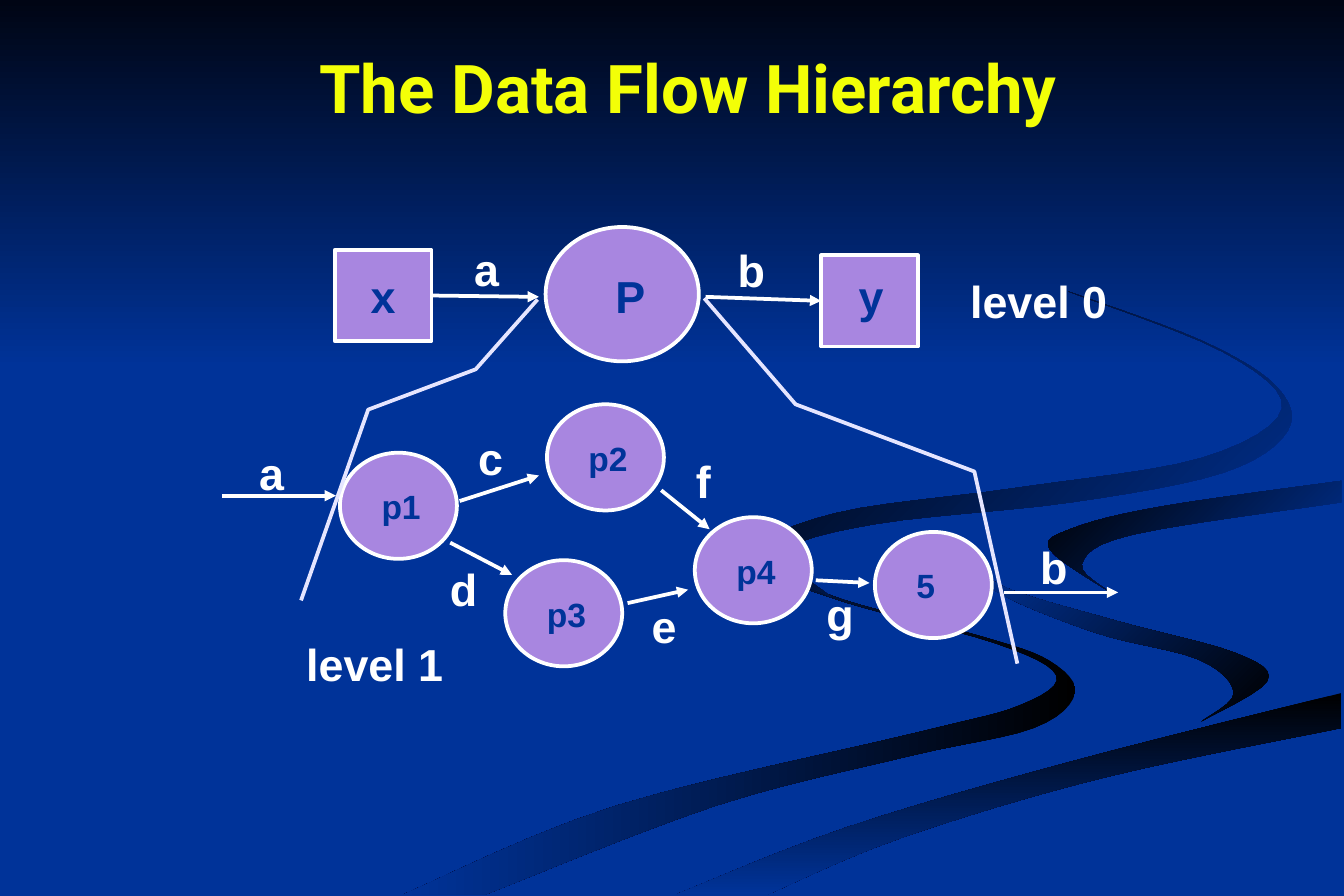
import pptx
import pptx.util
import pptx.dml.color
import pptx.enum.shapes
import pptx.enum.text
import pptx.oxml

HUES = {
    "sky": "003399", "night": "000514", "black": "000000", "gold": "F3FF07",
    "node": "A886E0", "white": "FFFFFF", "pale": "E5E5FF",
}
KINDS = pptx.enum.shapes.MSO_SHAPE
GRID = 2.54


def size(value):
    return pptx.util.Cm(value * GRID)


def tint(name):
    return pptx.dml.color.RGBColor.from_string(HUES[name])


def curve(knots, steps=6):
    ends = [knots[0], *knots, knots[-1]]
    points = []
    for a, b, c, d in zip(ends, ends[1:], ends[2:], ends[3:]):
        for step in range(steps):
            t = step / steps
            points.append(tuple(
                q + t * (r - p + t * (2 * p - 5 * q + 4 * r - s + t * (3 * (q - r) + s - p))) / 2
                for p, q, r, s in zip(a, b, c, d)))
    return points + [knots[-1]]


def write(frame, text, points=24, font="Arial", hue="white", align="LEFT",
          anchor="TOP", wrap=False):
    frame.word_wrap = wrap
    frame.auto_size = pptx.enum.text.MSO_AUTO_SIZE.NONE
    frame.vertical_anchor = getattr(pptx.enum.text.MSO_ANCHOR, anchor)
    line = frame.paragraphs[0]
    line.alignment = getattr(pptx.enum.text.PP_ALIGN, align)
    run = line.add_run()
    run.text = text
    run.font.size = pptx.util.Pt(points)
    run.font.name = font
    run.font.bold = True
    run.font.color.rgb = tint(hue)


class Board:
    def __init__(self, slide):
        self.slide = slide
        self.shapes = slide.shapes
        self.width = pptx.util.Pt(2)

    def ground(self, hue):
        fill = self.slide.background.fill
        fill.solid()
        fill.fore_color.rgb = tint(hue)

    def title(self, text, *area):
        box = self.shapes.title
        box.left, box.top, box.width, box.height = map(size, area)
        write(box.text_frame, text, points=36, font="Roboto", hue="gold",
              align="CENTER", anchor="MIDDLE", wrap=True)
        self.shapes._spTree.append(box._element)

    def fade(self, shape, first, last, angle):
        shape.shadow.inherit = False
        shape.line.fill.background()
        shape.fill.gradient()
        shape.fill.gradient_angle = angle
        for stop, hue in zip(shape.fill.gradient_stops, (first, last)):
            stop.color.rgb = tint(hue)

    def trace(self, points, close):
        spots = [(size(x), size(y)) for x, y in points]
        pen = self.shapes.build_freeform(*spots[0], scale=1.0)
        pen.add_line_segments(spots[1:], close=close)
        shape = pen.convert_to_shape()
        shape.shadow.inherit = False
        return shape

    def ribbon(self, first, last, angle, near, far):
        self.fade(self.trace(curve(near) + curve(far), True), first, last, angle)

    def border(self, points):
        shape = self.trace(points, False)
        shape.fill.background()
        shape.line.color.rgb = tint("pale")
        shape.line.width = self.width

    def band(self, *area):
        shape = self.shapes.add_shape(KINDS.RECTANGLE, *map(size, area))
        self.fade(shape, "night", "sky", 270)

    def node(self, kind, *area):
        shape = self.shapes.add_shape(kind, *map(size, area))
        shape.shadow.inherit = False
        shape.fill.solid()
        shape.fill.fore_color.rgb = tint("node")
        shape.line.color.rgb = tint("white")
        shape.line.width = self.width
        return shape

    def arrow(self, *ends, start=None, end=None):
        line = self.shapes.add_connector(
            pptx.enum.shapes.MSO_CONNECTOR.STRAIGHT, *map(size, ends))
        line.line.color.rgb = tint("white")
        line.line.width = self.width
        if start:
            line.begin_connect(start, 3)
        if end:
            line.end_connect(end, 1)
        space = pptx.oxml.ns.nsdecls("a")
        line.line._get_or_add_ln().append(
            pptx.oxml.parse_xml(f'<a:tailEnd {space} type="triangle"/>'))
        line._element.spPr.append(pptx.oxml.parse_xml(f"<a:effectLst {space}/>"))

    def label(self, text, left, top, width=0.4, height=0.5, **form):
        box = self.shapes.add_textbox(*map(size, (left, top, width, height)))
        write(box.text_frame, text, **form)


RIBBONS = [
    ("black", "sky", 180,
     [(5.75, 4.08), (5.83, 4.24), (6.26, 4.46), (7.31, 4.74), (7.81, 4.92), (8, 5.16),
      (7.69, 5.42), (6.76, 5.63), (5.32, 6), (3.61, 6.66)],
     [(3, 6.66), (4.58, 6), (6.84, 5.45), (7.59, 5.25), (7.86, 5.03), (7.41, 4.79),
      (6.31, 4.49), (5.76, 4.27), (5.75, 4.08)]),
    ("black", "sky", 135,
     [(7.24, 4.12), (7.45, 4.36), (8.3, 4.62), (9.19, 4.86), (9.43, 5.07), (8.94, 5.37)],
     [(8.94, 5.37), (9.18, 5.16), (8.92, 4.91), (8.15, 4.71), (7.39, 4.39), (7.24, 4.12)]),
    ("black", "sky", 270,
     [(5.03, 6.66), (6.3, 6.16), (7.97, 5.67), (9.98, 5.16)],
     [(9.98, 5.42), (8.21, 5.79), (6.7, 6.24), (5.71, 6.66)]),
    ("sky", "black", 135,
     [(9.98, 3.58), (8.65, 3.77), (7.99, 3.93), (7.81, 4.09), (8.26, 4.41)],
     [(8.26, 4.41), (8.05, 4.2), (8.43, 3.98), (9.98, 3.74)]),
    ("sky", "black", 135,
     [(7.95, 2.17), (8.95, 2.54), (9.5, 2.88), (9.58, 3.21), (9.1, 3.52), (7.97, 3.74),
      (6.52, 3.9), (5.85, 4.11), (6.18, 4.44)],
     [(6.18, 4.44), (5.61, 4.12), (6.22, 3.82), (7.58, 3.63), (8.94, 3.41), (9.54, 3.04),
      (9.1, 2.62), (7.95, 2.17)]),
]
STEPS = {"p1": (2.53, 3.37), "p2": (4.07, 3.01), "p3": (3.76, 4.17),
         "p4": (5.17, 3.85), "5": (6.51, 3.96)}
FLOWS = [
    (1.65, 3.69, 2.5, 3.69), (7.47, 4.41, 8.32, 4.41), (3.42, 3.73, 4.01, 3.54),
    (3.35, 4.04, 3.81, 4.28), (4.67, 4.49, 5.12, 4.39), (4.92, 3.65, 5.28, 3.94),
    (6.07, 4.32, 6.47, 4.34),
]
NAMES = [
    ("a", 3.43, 1.75), ("b", 5.39, 1.76), ("a", 1.83, 3.27), ("b", 7.64, 3.97),
    ("c", 3.46, 3.16), ("d", 3.25, 4.13), ("e", 4.75, 4.41), ("f", 5.08, 3.33),
    ("g", 6.05, 4.32), ("level 0", 7.12, 1.99, 1.22), ("level 1", 2.18, 4.69, 1.22),
]
BOUNDS = [
    [(4, 2.23), (3.54, 2.75), (2.74, 3.05), (2.24, 4.47)],
    [(5.24, 2.22), (5.92, 3.01), (7.25, 3.51), (7.57, 4.94)],
]


def main():
    deck = pptx.Presentation()
    deck.slide_width, deck.slide_height = size(10), size(6.67)
    board = Board(deck.slides.add_slide(deck.slide_layouts[5]))
    board.ground("sky")
    board.band(0, 0, 10, 2.74)
    for ribbon in RIBBONS:
        board.ribbon(*ribbon)
    board.title("The Data Flow Hierarchy", 1.29, 0.5, 7.66, 0.29)

    board.node(KINDS.OVAL, 4.06, 1.69, 1.14, 1)
    source = board.node(KINDS.RECTANGLE, 2.49, 1.86, 0.72, 0.68)
    sink = board.node(KINDS.RECTANGLE, 6.11, 1.9, 0.72, 0.68)
    board.arrow(3.17, 2.21, 4.01, 2.21, start=source)
    board.arrow(5.25, 2.21, 6.1, 2.21, end=sink)
    for text, left in (("P", 4.48), ("x", 2.66), ("y", 6.29)):
        board.label(text, left, 1.95, hue="sky")

    for text, (left, top) in STEPS.items():
        board.node(KINDS.OVAL, left, top, 0.87, 0.79)
        board.label(text, left + 0.21, top + 0.2, 0.19 + 0.15 * len(text), 0.4,
                    points=18, hue="sky")
    for flow in FLOWS:
        board.arrow(*flow)
    for points in BOUNDS:
        board.border(points)
    for name in NAMES:
        board.label(*name)
    deck.save("out.pptx")


if __name__ == "__main__":
    main()
